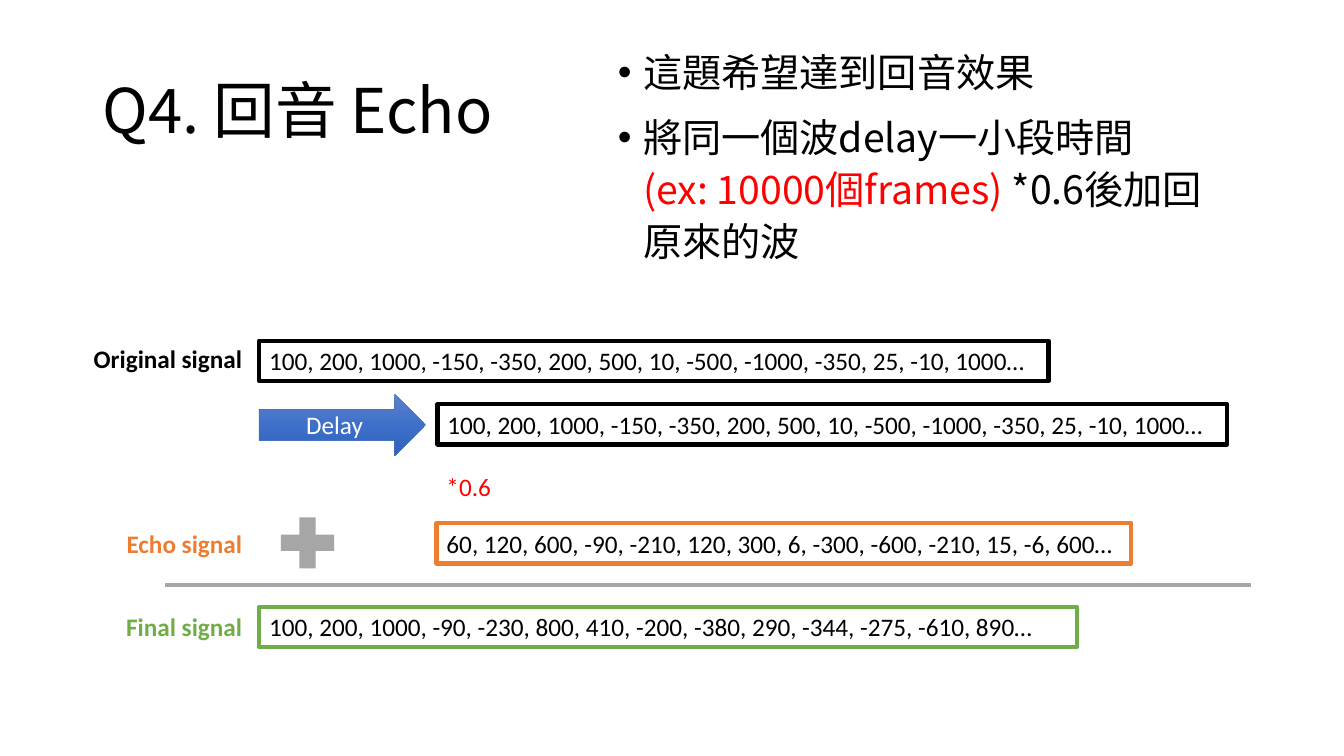
from copy import deepcopy

from lxml.etree import SubElement
from pptx import Presentation
from pptx.dml.color import RGBColor
from pptx.enum.shapes import MSO_CONNECTOR as Connector, MSO_SHAPE as Preset
from pptx.enum.text import MSO_ANCHOR as Anchor, PP_ALIGN as Align
from pptx.oxml.ns import qn
from pptx.util import Inches, Pt

COLORS = {
    "black": "000000", "white": "FFFFFF", "red": "FF0000", "orange": "ED7D31",
    "green": "70AD47", "gray": "A6A6A6", "blue": "4472C4",
}
DELAY_GRADIENT = ["6183CB", "3E70CA", "3062BB"]
LATIN, CJK = "Calibri", "Noto Sans CJK SC"
ROW_HEIGHT = 0.4
SIGNAL = "100, 200, 1000, -150, -350, 200, 500, 10, -500, -1000, -350, 25, -10, 1000…"
ECHO = "60, 120, 600, -90, -210, 120, 300, 6, -300, -600, -210, 15, -6, 600…"
FINAL = "100, 200, 1000, -90, -230, 800, 410, -200, -380, 290, -344, -275, -610, 890…"


def rgb(name):
    """Return the named colour."""
    return RGBColor.from_string(COLORS[name])


def apply_format(target, values):
    """Set every attribute in a dict of format values."""
    for name, value in values.items():
        setattr(target, name, value)


def add_run(paragraph, text, color="black", size=18, font=LATIN, bold=False):
    """Add a run whose font serves Latin and East Asian text."""
    run = paragraph.add_run()
    run.text = text
    apply_format(run.font, {"name": font, "size": Pt(size), "bold": bold})
    run.font.color.rgb = rgb(color)
    SubElement(run.font._element, qn("a:ea"), typeface=font)


def add_text_box(slide, box, anchor=Anchor.TOP):
    """Add a wrapping text box and return its text frame."""
    frame = slide.shapes.add_textbox(*map(Inches, box)).text_frame
    apply_format(frame, {"word_wrap": True, "vertical_anchor": anchor})
    return frame


def add_preset(slide, preset, box, fill=None, line=None, width=3):
    """Add a preset shape without shadow; no line colour means no outline."""
    shape = slide.shapes.add_shape(preset, *map(Inches, box))
    shape.shadow.inherit = False
    if fill:
        shape.fill.solid()
        shape.fill.fore_color.rgb = rgb(fill)
    if line:
        shape.line.color.rgb = rgb(line)
        shape.line.width = Pt(width)
    else:
        shape.line.fill.background()
    return shape


def add_values(slide, box, text, line=None, color="black"):
    """Add a white box holding signal values."""
    frame = add_preset(slide, Preset.RECTANGLE, box, "white", line).text_frame
    apply_format(frame, {"word_wrap": True, "vertical_anchor": Anchor.TOP})
    paragraph = frame.paragraphs[0]
    paragraph.alignment = Align.LEFT
    add_run(paragraph, text, color)


def add_label(slide, box, text, color):
    """Add a bold, right-aligned row label."""
    paragraph = add_text_box(slide, box).paragraphs[0]
    paragraph.alignment = Align.RIGHT
    add_run(paragraph, text, color, bold=True)


def add_delay_arrow(slide, box):
    """Add the gradient arrow that shifts the signal."""
    arrow = add_preset(slide, Preset.RIGHT_ARROW, box, line="blue", width=0.5)
    arrow.fill.gradient()
    arrow.fill.gradient_angle = 270
    stop_list = arrow._element.spPr.find(".//" + qn("a:gsLst"))
    stop_list.insert(1, deepcopy(stop_list[0]))
    for index, (stop, color) in enumerate(zip(arrow.fill.gradient_stops, DELAY_GRADIENT)):
        stop.color.rgb = RGBColor.from_string(color)
        stop.position = index / 2
    frame = arrow.text_frame
    frame.vertical_anchor = Anchor.MIDDLE
    frame.paragraphs[0].alignment = Align.CENTER
    add_run(frame.paragraphs[0], "Delay", "white")


def add_sum_line(slide, left, top, width):
    """Add the rule above the final signal."""
    line = slide.shapes.add_connector(
        Connector.STRAIGHT, *map(Inches, (left, top, left + width, top)))
    line.line.color.rgb = rgb("gray")
    line.line.width = Pt(3)
    SubElement(line._element.spPr, qn("a:effectLst"))


def add_title(slide, box):
    """Add the slide title."""
    paragraph = add_text_box(slide, box, Anchor.MIDDLE).paragraphs[0]
    paragraph.line_spacing = 0.9
    add_run(paragraph, "Q4. 回音 Echo ", size=44, font=CJK)


def add_task(slide, box):
    """Add the bulleted task; each bullet is a list of lines made of runs."""
    bullets = [
        [[("這題希望達到回音效果", "black")]],
        [[("將同一個波delay一小段時間", "black")],
         [("(ex: 10000個frames) ", "red"), ("*0.6後加回原來的波", "black")]],
    ]
    frame = add_text_box(slide, box)
    for index, lines in enumerate(bullets):
        paragraph = frame.add_paragraph() if index else frame.paragraphs[0]
        apply_format(paragraph, {"line_spacing": 1.1, "space_before": Pt(10)})
        properties = paragraph._element.get_or_add_pPr()
        properties.set("marL", str(Inches(0.25)))
        properties.set("indent", str(-Inches(0.25)))
        SubElement(properties, qn("a:buFont"), typeface="Arial")
        SubElement(properties, qn("a:buChar"), char="•")
        for line_index, runs in enumerate(lines):
            if line_index:
                paragraph.add_line_break()
            for text, color in runs:
                add_run(paragraph, text, color, size=28, font=CJK)


def add_echo_diagram(slide, box):
    """Add the signal rows, the operators and the sum line."""
    left, top, width, _ = box
    start, delayed = left + 1.78, left + 3.54
    echo_top, final_top = top + 1.83, top + 2.66
    rows = [
        (start, top + 0.02, 7.83, SIGNAL, "black", "black"),
        (delayed + 0.01, top + 0.65, 7.83, SIGNAL, "black", "black"),
        (delayed, echo_top, 6.89, ECHO, "orange", "black"),
        (delayed, top + 1.27, 0.82, "*0.6", None, "red"),
        (start, final_top, 8.11, FINAL, "green", "black"),
    ]
    for row_left, row_top, row_width, text, line, color in rows:
        add_values(slide, (row_left, row_top, row_width, ROW_HEIGHT), text, line, color)
    add_delay_arrow(slide, (start, top + 0.55, 1.65, 0.61))
    add_preset(slide, Preset.MATH_PLUS, (start + 0.12, top + 1.68, 0.72, 0.69), "gray")
    add_sum_line(slide, left + 0.85, top + 2.44, width - 0.85)
    labels = [
        ("Original signal", top, "black"),
        ("Echo signal", echo_top, "orange"),
        ("Final signal", final_top, "green"),
    ]
    for text, label_top, color in labels:
        add_label(slide, (left, label_top, 1.71, ROW_HEIGHT), text, color)


def main():
    """Build and save the echo slide."""
    presentation = Presentation()
    presentation.slide_width = Inches(13.33)
    presentation.slide_height = Inches(7.5)
    slide = presentation.slides.add_slide(presentation.slide_layouts[6])
    add_title(slide, (0.92, 0.4, 11.5, 1.45))
    add_echo_diagram(slide, (0.79, 3.36, 11.62, 3.06))
    add_task(slide, (6.03, 0.38, 6.14, 2.45))
    presentation.save("out.pptx")


main()
